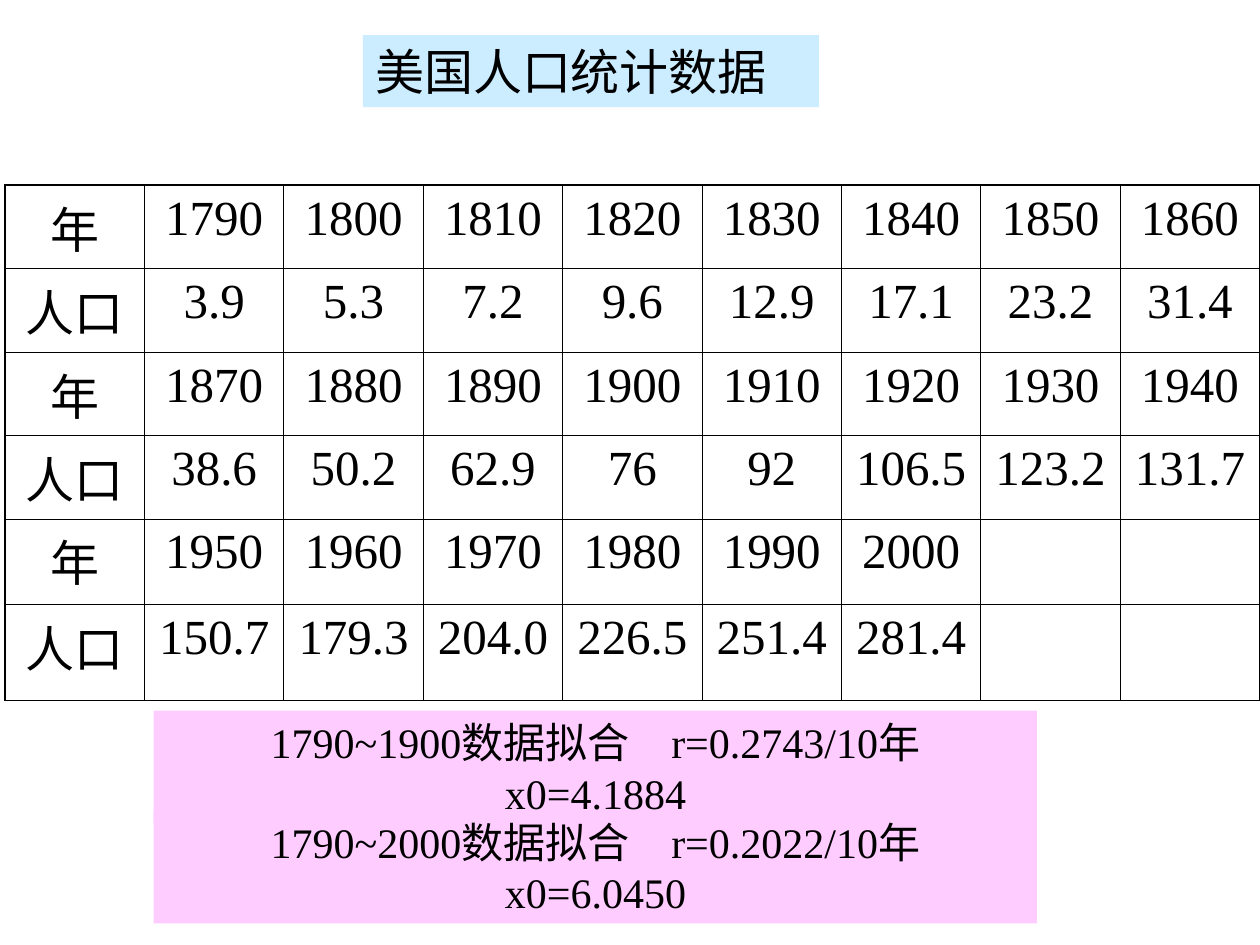
from lxml.etree import SubElement
from pptx import Presentation
from pptx.dml.color import RGBColor
from pptx.enum.shapes import MSO_SHAPE
from pptx.enum.text import MSO_ANCHOR, MSO_AUTO_SIZE, PP_ALIGN
from pptx.oxml.ns import qn
from pptx.util import Inches, Pt

BLACK = RGBColor(0x00, 0x00, 0x00)
PALE_BLUE = RGBColor(0xCC, 0xEC, 0xFF)
PALE_PINK = RGBColor(0xFF, 0xCC, 0xFF)
FONT = "Times New Roman"
THIN, THICK = 0.45, 1.08

POPULATION = [
    3.9, 5.3, 7.2, 9.6, 12.9, 17.1, 23.2, 31.4,
    38.6, 50.2, 62.9, 76, 92, 106.5, 123.2, 131.7,
    150.7, 179.3, "204.0", 226.5, 251.4, 281.4,
]
FIRST_YEAR = 1790
PER_ROW = 8
ROW_HEIGHTS = [0.57, 0.57, 0.57, 0.63, 0.68, 0.76]
FITS = [
    ("1790~1900数据拟合　r=0.2743/10年", "x0=4.1884"),
    ("1790~2000数据拟合　r=0.2022/10年", "x0=6.0450"),
]


def add_run(p, text, size):
    r = p.add_run()
    r.text = text
    r.font.name = FONT
    r.font.size = Pt(size)
    r.font.color.rgb = BLACK


def add_panel(s, left, top, width, height, fill, lines, size, align):
    sp = s.shapes.add_shape(MSO_SHAPE.RECTANGLE, Inches(left), Inches(top),
                            Inches(width), Inches(height))
    sp.shadow.inherit = False
    sp.fill.solid()
    sp.fill.fore_color.rgb = fill
    sp.line.fill.background()
    tf = sp.text_frame
    tf.word_wrap = True
    tf.auto_size = MSO_AUTO_SIZE.SHAPE_TO_FIT_TEXT
    tf.vertical_anchor = MSO_ANCHOR.TOP
    p = tf.paragraphs[0]
    p.alignment = align
    for i, line in enumerate(lines):
        if i:
            p.add_line_break()
        add_run(p, line, size)


def set_borders(cell, widths):
    """Draw the left, right, top and bottom borders, widths in points."""
    tc_pr = cell._tc.get_or_add_tcPr()
    for i, (side, width) in enumerate(zip(("lnL", "lnR", "lnT", "lnB"), widths)):
        ln = SubElement(tc_pr, qn(f"a:{side}"), w=str(Pt(width)))
        tc_pr.insert(i, ln)
        fill = SubElement(ln, qn("a:solidFill"))
        SubElement(fill, qn("a:srgbClr"), val=str(BLACK))


def population_rows():
    """Alternate a row of years with a row of populations."""
    rows = []
    for start in range(0, len(POPULATION), PER_ROW):
        values = POPULATION[start:start + PER_ROW]
        years = [FIRST_YEAR + 10 * (start + i) for i in range(len(values))]
        rows += [["年", *years], ["人口", *values]]
    return rows


def add_population_table(s):
    rows = population_rows()
    n_rows, n_cols = len(rows), PER_ROW + 1
    table = s.shapes.add_table(n_rows, n_cols, Inches(0.04), Inches(1.47),
                               Inches(9.96), Inches(sum(ROW_HEIGHTS))).table
    table.first_row = table.horz_banding = False
    for col in table.columns:
        col.width = Inches(9.96 / n_cols)
    for i, height in enumerate(ROW_HEIGHTS):
        table.rows[i].height = Inches(height)
        for j in range(n_cols):
            cell = table.cell(i, j)
            cell.fill.background()
            outer = (j == 0, j == n_cols - 1, i == 0, i == n_rows - 1)
            set_borders(cell, [THICK if edge else THIN for edge in outer])
            if j < len(rows[i]):
                p = cell.text_frame.paragraphs[0]
                p.alignment = PP_ALIGN.CENTER
                add_run(p, str(rows[i][j]), 28)


def main():
    prs = Presentation()
    prs.slide_width, prs.slide_height = Inches(10), Inches(7.5)
    s = prs.slides.add_slide(prs.slide_layouts[6])
    add_population_table(s)
    add_panel(s, 2.88, 0.28, 3.62, 0.57, PALE_BLUE, ["美国人口统计数据"], 28,
              PP_ALIGN.LEFT)
    for i, lines in enumerate(FITS):
        add_panel(s, 1.22, 5.64 + 0.79 * i, 7.01, 0.9, PALE_PINK, lines, 24,
                  PP_ALIGN.CENTER)
    prs.save("out.pptx")


if __name__ == "__main__":
    main()
